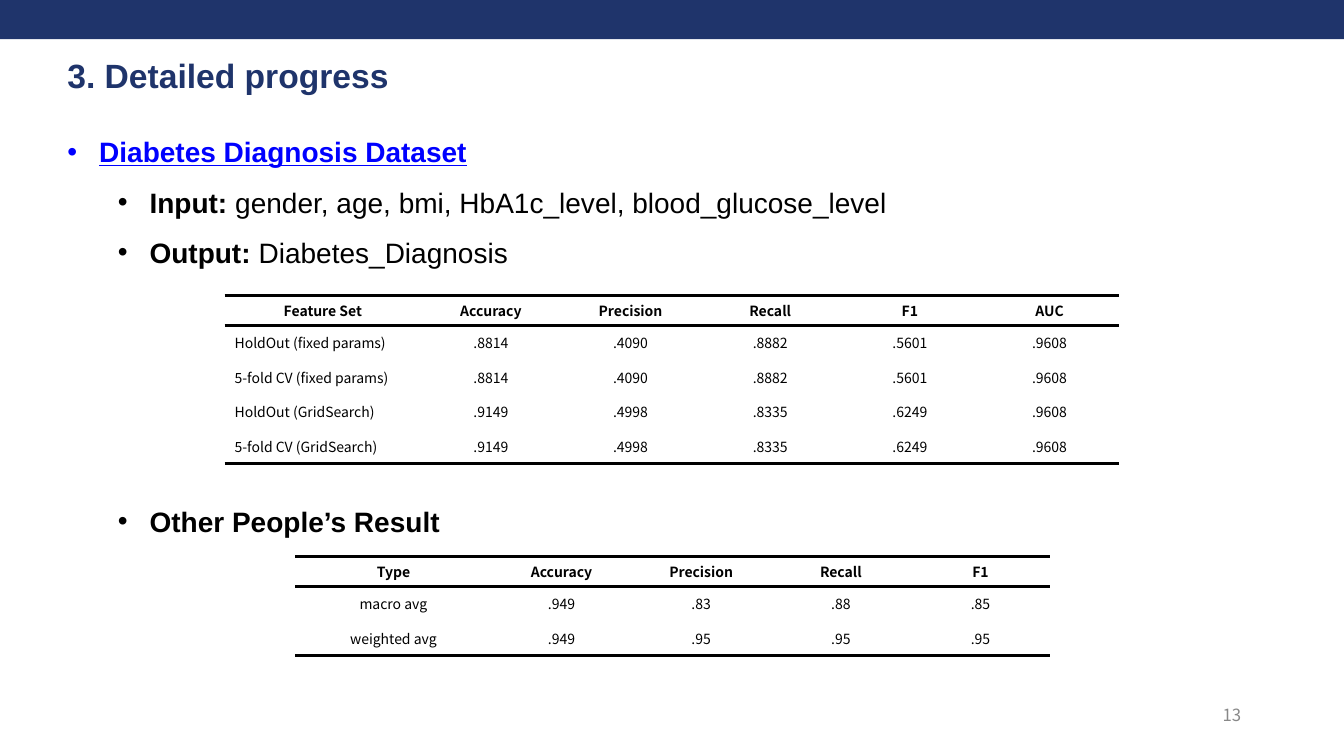
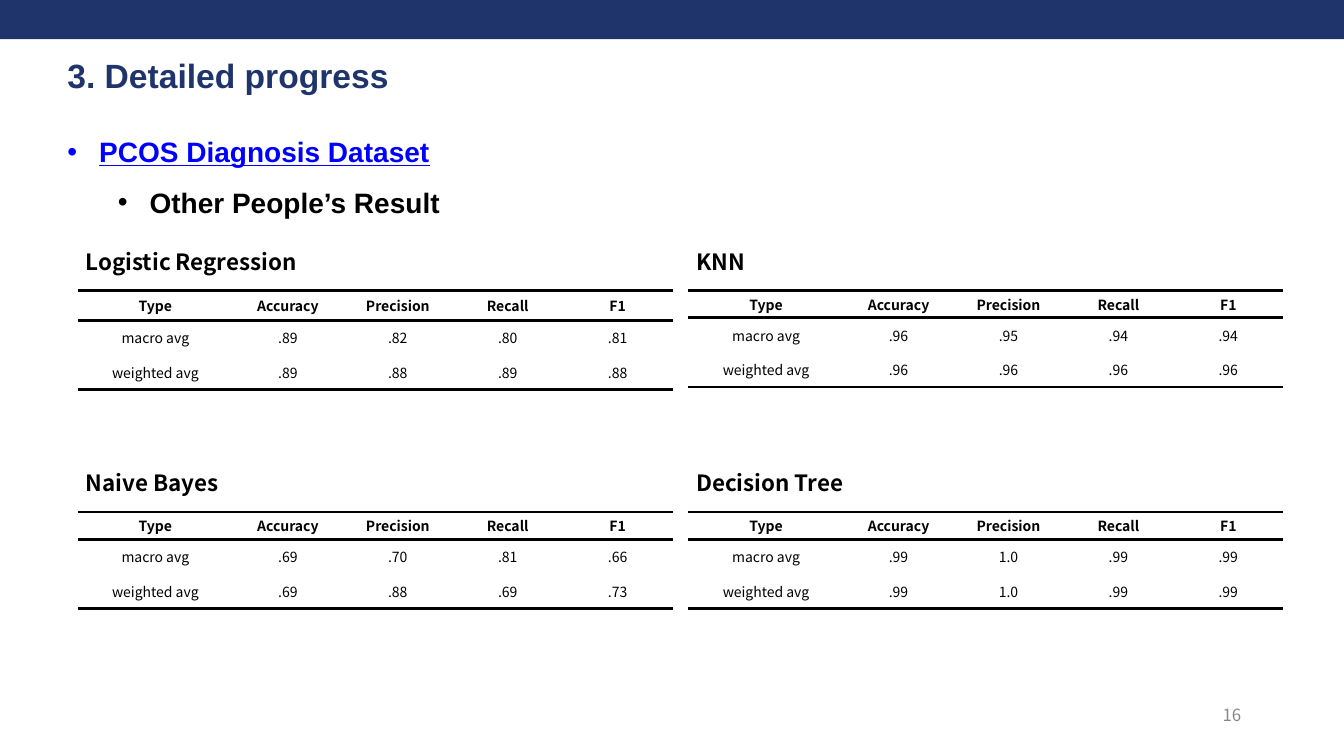
"""Build two progress slides with classification result tables."""
import pptx
import pptx.dml.color
import pptx.enum.shapes
import pptx.enum.text
import pptx.oxml
import pptx.oxml.ns
import pptx.util

Cm = pptx.util.Cm
Pt = pptx.util.Pt
RGBColor = pptx.dml.color.RGBColor
PP_ALIGN = pptx.enum.text.PP_ALIGN
MSO_ANCHOR = pptx.enum.text.MSO_ANCHOR

NAVY = RGBColor(0x1F, 0x34, 0x6B)
BLUE = RGBColor(0x00, 0x00, 0xFF)
BLACK = RGBColor(0x00, 0x00, 0x00)
GRAY = RGBColor(0x88, 0x88, 0x88)
WHITE = RGBColor(0xFF, 0xFF, 0xFF)
HEADING_FONT = "Arial"
DATA_FONT = "Noto Sans CJK KR"

PAGE_WIDTH, PAGE_HEIGHT = 33.87, 19.05
MARGIN = 1.7
ROW_HEIGHT = 0.87
RULE_WIDTH = 2.25
WIDE_COLUMNS = (4.95, 3.52)
NARROW_COLUMNS = (3.91, 2.77)
GRID_LEFT, GRID_TOP = 1.96, 7.32
GRID_STEP_X, GRID_STEP_Y = 15.39, 5.58

TITLE = "3. Detailed progress"
OTHERS = "Other People’s Result"
SCORE_HEADER = ["Type", "Accuracy", "Precision", "Recall", "F1"]

DIABETES_POINTS = [
    {"label": "Diabetes Diagnosis Dataset", "level": 0},
    {"label": "Input: ", "detail": "gender, age, bmi, HbA1c_level, blood_glucose_level"},
    {"label": "Output: ", "detail": "Diabetes_Diagnosis"},
    {"label": OTHERS, "before": 156},
]
DIABETES_RESULTS = [
    ["Feature Set", "Accuracy", "Precision", "Recall", "F1", "AUC"],
    ["HoldOut (fixed params)", ".8814", ".4090", ".8882", ".5601", ".9608"],
    ["5-fold CV (fixed params)", ".8814", ".4090", ".8882", ".5601", ".9608"],
    ["HoldOut (GridSearch)", ".9149", ".4998", ".8335", ".6249", ".9608"],
    ["5-fold CV (GridSearch)", ".9149", ".4998", ".8335", ".6249", ".9608"],
]
DIABETES_OTHERS = [
    SCORE_HEADER,
    ["macro avg", ".949", ".83", ".88", ".85"],
    ["weighted avg", ".949", ".95", ".95", ".95"],
]

PCOS_POINTS = [
    {"label": "PCOS Diagnosis Dataset", "level": 0},
    {"label": OTHERS},
]
PCOS_MODELS = [
    ("Logistic Regression", 0.76, [".89", ".82", ".80", ".81"], [".89", ".88", ".89", ".88"]),
    ("KNN", 0.69, [".96", ".95", ".94", ".94"], [".96", ".96", ".96", ".96"]),
    ("Naive Bayes", 0.69, [".69", ".70", ".81", ".66"], [".69", ".88", ".69", ".73"]),
    ("Decision Tree", 0.69, [".99", "1.0", ".99", ".99"], [".99", "1.0", ".99", ".99"]),
]


def write(para, text, size=10, font=DATA_FONT, color=BLACK, bold=False, underline=False):
    span = para.add_run()
    span.text = text
    span.font.size = Pt(size)
    span.font.name = font
    span.font.color.rgb = color
    span.font.bold = bold
    span.font.underline = underline


def add_box(page, left, top, width, height):
    frame = page.shapes.add_textbox(Cm(left), Cm(top), Cm(width), Cm(height)).text_frame
    frame.word_wrap = True
    frame.margin_left = frame.margin_right = frame.margin_top = frame.margin_bottom = 0
    return frame


def add_page(deck, number):
    page = deck.slides.add_slide(deck.slide_layouts[6])
    band = page.shapes.add_shape(
        pptx.enum.shapes.MSO_SHAPE.RECTANGLE, 0, 0, Cm(PAGE_WIDTH), Cm(0.99))
    band.shadow.inherit = False
    band.fill.solid()
    band.fill.fore_color.rgb = NAVY
    band.line.fill.background()
    title = add_box(page, MARGIN, 1.27, 31.55, 1.1).paragraphs[0]
    title.line_spacing = Pt(32)
    write(title, TITLE, size=24, font=HEADING_FONT, color=NAVY, bold=True)
    footer = add_box(page, 30.81, 17.77, 0.8, 0.64).paragraphs[0]
    write(footer, number, size=12, color=GRAY)
    return page


def add_bullet(para, indent):
    properties = para._p.get_or_add_pPr()
    properties.set("marL", str(Cm(indent)))
    properties.set("indent", str(Cm(-0.8)))
    for tag, name, value in (("buFont", "typeface", HEADING_FONT), ("buChar", "char", "•")):
        mark = pptx.oxml.parse_xml(
            f'<a:{tag} {pptx.oxml.ns.nsdecls("a")} {name}="{value}"/>')
        properties.append(mark)


def add_points(page, points, height):
    frame = add_box(page, MARGIN, 2.97, 30.9, height)
    for index, point in enumerate(points):
        para = frame.add_paragraph() if index else frame.paragraphs[0]
        level = point.get("level", 1)
        add_bullet(para, 0.8 + 1.27 * level)
        para.level = level
        para.line_spacing = Pt(36)
        if "before" in point:
            para.space_before = Pt(point["before"])
        heading = level == 0
        write(para, point["label"], size=20, font=HEADING_FONT, bold=True,
              color=BLUE if heading else BLACK, underline=heading)
        if "detail" in point:
            write(para, point["detail"], size=20, font=HEADING_FONT)


def set_borders(cell, ruled_sides):
    properties = cell._tc.get_or_add_tcPr()
    for position, side in enumerate("LRTB"):
        paint = f'<a:solidFill><a:srgbClr val="{BLACK}"/></a:solidFill>'
        if side not in ruled_sides:
            paint = "<a:noFill/>"
        border = pptx.oxml.parse_xml(
            f'<a:ln{side} {pptx.oxml.ns.nsdecls("a")} w="{Pt(RULE_WIDTH)}">{paint}</a:ln{side}>')
        properties.insert(position, border)


def add_results(page, rows, left, top, columns, header_height=0.76, first_align=PP_ALIGN.CENTER):
    first_width, score_width = columns
    widths = [first_width] + [score_width] * (len(rows[0]) - 1)
    heights = [header_height] + [ROW_HEIGHT] * (len(rows) - 1)
    table = page.shapes.add_table(
        len(rows), len(widths), Cm(left), Cm(top), Cm(sum(widths)), Cm(sum(heights))).table
    table.first_row = table.horz_banding = False
    for column, width in zip(table.columns, widths):
        column.width = Cm(width)
    for row, height in zip(table.rows, heights):
        row.height = Cm(height)
    for row_index, row in enumerate(rows):
        header = row_index == 0
        ruled_sides = "T" * (row_index < 2) + "B" * (row_index in (0, len(rows) - 1))
        for column_index, text in enumerate(row):
            cell = table.cell(row_index, column_index)
            cell.fill.solid()
            cell.fill.fore_color.rgb = WHITE
            cell.margin_top = cell.margin_bottom = 0
            cell.vertical_anchor = MSO_ANCHOR.MIDDLE
            para = cell.text_frame.paragraphs[0]
            is_name = column_index == 0 and not header
            para.alignment = first_align if is_name else PP_ALIGN.CENTER
            write(para, text, bold=header)
            set_borders(cell, ruled_sides)


def add_diabetes_page(deck):
    page = add_page(deck, "13")
    add_points(page, DIABETES_POINTS, 10.57)
    add_results(page, DIABETES_RESULTS, 5.66, 7.44, WIDE_COLUMNS, first_align=PP_ALIGN.LEFT)
    add_results(page, DIABETES_OTHERS, 7.44, 14.02, WIDE_COLUMNS)


def add_pcos_page(deck):
    page = add_page(deck, "16")
    add_points(page, PCOS_POINTS, 2.51)
    for index, (name, header_height, macro, weighted) in enumerate(PCOS_MODELS):
        grid_row, grid_column = divmod(index, 2)
        left = GRID_LEFT + grid_column * GRID_STEP_X
        top = GRID_TOP + grid_row * GRID_STEP_Y
        rows = [SCORE_HEADER, ["macro avg", *macro], ["weighted avg", *weighted]]
        add_results(page, rows, left, top, NARROW_COLUMNS, header_height)
        caption = add_box(page, left + 0.2, top - 1.07, 14.5, 0.82).paragraphs[0]
        write(caption, name, size=16, bold=True)


def main():
    deck = pptx.Presentation()
    deck.slide_width, deck.slide_height = Cm(PAGE_WIDTH), Cm(PAGE_HEIGHT)
    add_diabetes_page(deck)
    add_pcos_page(deck)
    deck.save("out.pptx")


if __name__ == "__main__":
    main()
